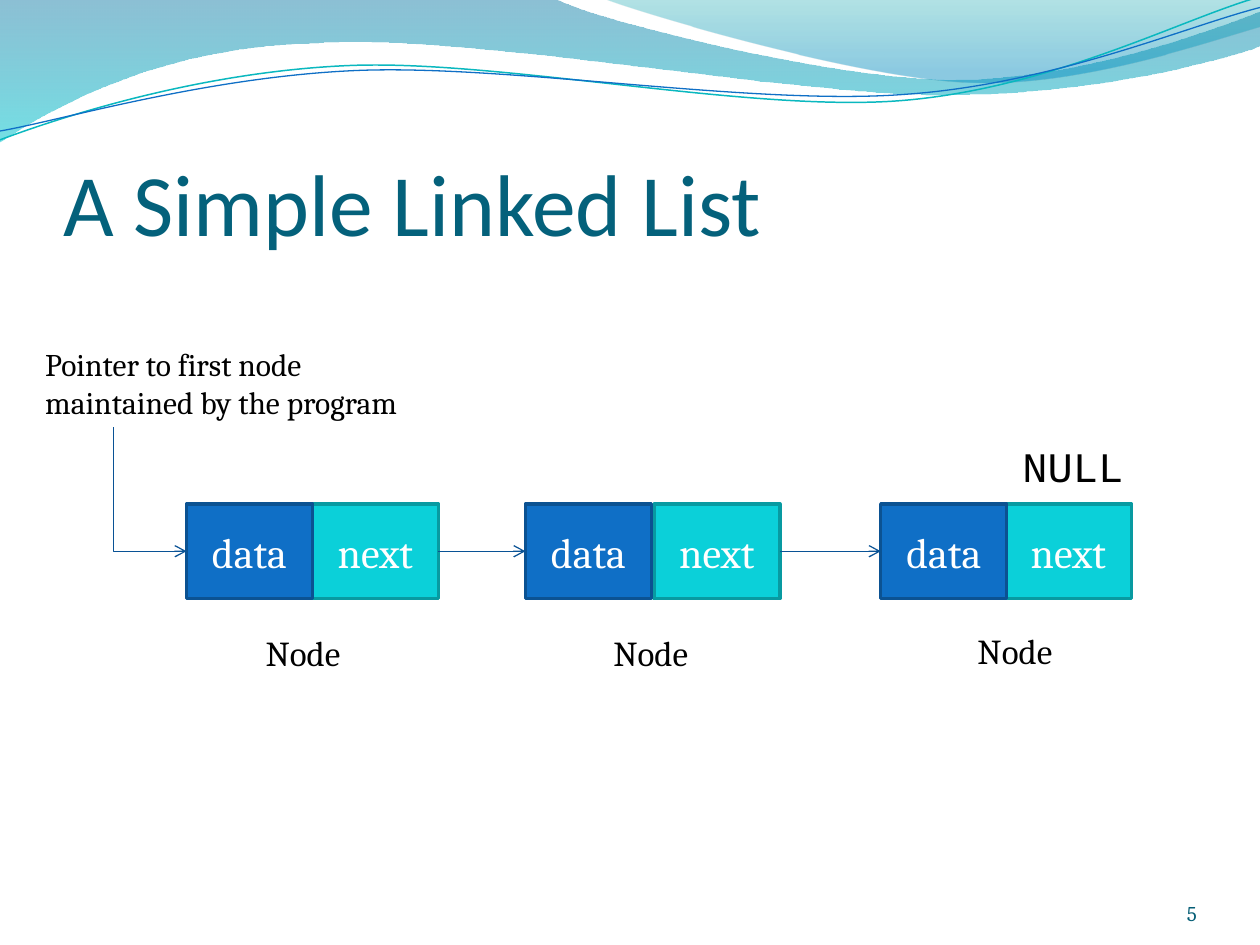
import math

import pptx
import pptx.util
import pptx.dml.color
import pptx.enum.shapes
import pptx.enum.text
import pptx.oxml
import pptx.oxml.ns
from pptx.util import Inches

COLORS = {
    "title": "04617B", "number": "045D75", "text": "000000", "white": "FFFFFF",
    "data": "0F6FC6", "data_edge": "0B5292", "next": "0BD0D9", "next_edge": "089AA1",
    "arrow": "095295", "wave_teal": "0AB8BF", "wave_blue": "0F6FC6",
    "band_sea": "0074A1", "band_aqua": "00C6CF", "band_green": "00A1A9", "band_sky": "008BBF",
}
ALIGN = pptx.enum.text.PP_ALIGN
ANCHOR = pptx.enum.text.MSO_ANCHOR
AUTO_SIZE = pptx.enum.text.MSO_AUTO_SIZE
CONNECTOR = pptx.enum.shapes.MSO_CONNECTOR
NODE_Y, CELL_W, CELL_H = 4, 1, 0.75
MID_Y = NODE_Y + CELL_H / 2
CURVE_TILT = 357.3

BACK_BAND = [
    [(0, 0)], [(4.4, -0.01)],
    [(4.76, 0.17), (6.64, 0.63), (7.58, 0.63)], [(8.53, 0.63), (9.58, 0.26), (10, 0.09)],
    [(10.01, 0.36)],
    [(9.83, 0.44), (8.7, 0.76), (7.46, 0.75)], [(6.22, 0.75), (3.82, 0.28), (2.57, 0.34)],
    [(1.29, 0.36), (0.46, 0.83), (-0.01, 1.13)],
]
FRONT_BAND = [
    [(4.79, -0.01)], [(5.09, 0.11), (6.82, 0.62), (7.69, 0.65)],
    [(8.56, 0.69), (9.61, 0.32), (10, 0.21)], [(10, 0)],
]
TEAL_CURVE = [
    [(0, 1.11)], [(0.48, 0.93), (1.58, 0.57), (2.77, 0.52)],
    [(3.95, 0.47), (5.93, 0.89), (7.13, 0.8)], [(8.33, 0.71), (9.38, 0.15), (9.98, -0.02)],
]
BLUE_CURVE = [
    [(0, 1.04)], [(0.47, 0.96), (1.64, 0.61), (2.83, 0.56)],
    [(4.03, 0.51), (5.97, 0.84), (7.17, 0.75)], [(8.36, 0.67), (9.41, 0.21), (10, 0.06)],
]


def rgb(name):
    return pptx.dml.color.RGBColor.from_string(COLORS[name])


def add_outline(s, outline, close):
    points = [(Inches(x), Inches(y)) for segment in outline for x, y in segment]
    builder = s.shapes.build_freeform(*points[0])
    builder.add_line_segments(points[1:], close=close)
    sp = builder.convert_to_shape()
    sp.shadow.inherit = False
    steps = iter(list(sp._element.spPr.iter(pptx.oxml.ns.qn("a:lnTo"))))
    for segment in outline[1:]:
        first, *others = [next(steps) for _ in segment]
        if others:
            first.tag = pptx.oxml.ns.qn("a:cubicBezTo")
        for other in others:
            first.append(other[0])
            other.getparent().remove(other)
    return sp


def add_band(s, outline, stops):
    sp = add_outline(s, outline, True)
    sp.line.fill.background()
    stop_xml = "".join(
        f'<a:gs pos="{pos * 1000}"><a:srgbClr val="{COLORS[color]}">'
        f'<a:alpha val="{alpha * 1000}"/></a:srgbClr></a:gs>' for pos, color, alpha in stops)
    grad = pptx.oxml.parse_xml(
        f'<a:gradFill {pptx.oxml.ns.nsdecls("a")}><a:gsLst>{stop_xml}</a:gsLst>'
        '<a:lin ang="5400000" scaled="0"/></a:gradFill>')
    sp._element.spPr.find(pptx.oxml.ns.qn("a:custGeom")).addnext(grad)


def turn(point, center, degrees):
    angle = math.radians(degrees)
    dx, dy = point[0] - center[0], point[1] - center[1]
    return (center[0] + dx * math.cos(angle) - dy * math.sin(angle),
            center[1] + dx * math.sin(angle) + dy * math.cos(angle))


def add_curve(s, outline, center, color, width):
    level = [[turn(point, center, -CURVE_TILT) for point in segment] for segment in outline]
    sp = add_outline(s, level, False)
    sp.rotation = CURVE_TILT
    sp.fill.background()
    sp.line.color.rgb = rgb(color)
    sp.line.width = pptx.util.Pt(width)


def set_text(sp, text, size, color, font="Cambria", align=ALIGN.LEFT):
    p = sp.text_frame.paragraphs[0]
    p.text = text
    p.alignment = align
    p.font.size = pptx.util.Pt(size)
    p.font.name = font
    p.font.color.rgb = rgb(color)


def anchor_bottom(sp, top_margin):
    tf = sp.text_frame
    tf.word_wrap = True
    tf.auto_size = AUTO_SIZE.NONE
    tf.vertical_anchor = ANCHOR.BOTTOM
    tf.margin_left = tf.margin_right = tf.margin_bottom = 0
    tf.margin_top = Inches(top_margin)


def add_title(s, text):
    sp = s.shapes.title
    sp.left, sp.top, sp.width, sp.height = (Inches(v) for v in (0.5, 0.77, 9, 1.25))
    anchor_bottom(sp, 0.05)
    set_text(sp, text, 50, "title", "Calibri")
    s.shapes._spTree.append(sp._element)


def add_label(s, box, text, size, color="text", font="Cambria", align=ALIGN.CENTER, wrap=False):
    sp = s.shapes.add_textbox(*(Inches(v) for v in box))
    sp.text_frame.word_wrap = wrap
    sp.text_frame.auto_size = AUTO_SIZE.SHAPE_TO_FIT_TEXT
    set_text(sp, text, size, color, font, align)
    return sp


def add_cell(s, x, kind):
    sp = s.shapes.add_shape(pptx.enum.shapes.MSO_SHAPE.RECTANGLE, Inches(x), Inches(NODE_Y),
                            Inches(CELL_W), Inches(CELL_H))
    sp.shadow.inherit = False
    sp.fill.solid()
    sp.fill.fore_color.rgb = rgb(kind)
    sp.line.color.rgb = rgb(kind + "_edge")
    sp.line.width = pptx.util.Pt(2)
    sp.text_frame.vertical_anchor = ANCHOR.MIDDLE
    set_text(sp, kind, 24, "white", align=ALIGN.CENTER)


def add_arrow(s, kind, x1, y1, x2, y2):
    c = s.shapes.add_connector(kind, Inches(x1), Inches(y1), Inches(x2), Inches(y2))
    c.line.color.rgb = rgb("arrow")
    c.line.width = pptx.util.Pt(0.75)
    ns = pptx.oxml.ns.nsdecls("a")
    c.line._get_or_add_ln().append(pptx.oxml.parse_xml(f'<a:tailEnd {ns} type="arrow"/>'))
    c._element.spPr.append(pptx.oxml.parse_xml(f"<a:effectLst {ns}/>"))
    return c


def add_corner_arrow(s, x1, y1, x2, y2):
    cx, cy = (x1 + x2) / 2, (y1 + y2) / 2
    half_w, half_h = (y2 - y1) / 2, (x2 - x1) / 2
    c = add_arrow(s, CONNECTOR.ELBOW, cx + half_w, cy - half_h, cx - half_w, cy + half_h)
    c._element.spPr.find(pptx.oxml.ns.qn("a:xfrm")).set("rot", "16200000")
    c._element.spPr.find(pptx.oxml.ns.qn("a:prstGeom")).set("prst", "bentConnector2")


def main():
    prs = pptx.Presentation()
    prs.slide_width, prs.slide_height = Inches(10), Inches(7.5)
    s = prs.slides.add_slide(prs.slide_layouts[5])

    add_band(s, BACK_BAND, [(0, "band_sea", 45), (100, "band_aqua", 55)])
    add_band(s, FRONT_BAND, [(0, "band_green", 30), (80, "band_sky", 45)])
    add_curve(s, TEAL_CURVE, (4.99, 0.58), "wave_teal", 0.85)
    add_curve(s, BLUE_CURVE, (5, 0.59), "wave_blue", 0.75)
    add_title(s, "A Simple Linked List")
    number = add_label(s, (8.67, 6.95, 0.83, 0.4), "5", 12, "number", align=ALIGN.RIGHT)
    anchor_bottom(number, 0)

    nodes = [(1.48, 2.48), (4.17, 5.19), (6.99, 7.98)]
    for data_x, next_x in nodes:
        add_cell(s, next_x, "next")
        add_cell(s, data_x, "data")
    add_label(s, (0.26, 2.69, 3.25, 0.71), "Pointer to first node maintained by the program",
              18, align=ALIGN.LEFT, wrap=True)
    add_corner_arrow(s, 0.9, 3.39, nodes[0][0], MID_Y)
    for node, following in zip(nodes, nodes[1:]):
        add_arrow(s, CONNECTOR.STRAIGHT, node[1] + CELL_W, MID_Y, following[0], MID_Y)
    add_label(s, (8.01, 3.45, 1.01, 0.5), "NULL", 24, font="Courier New")
    for x, y in [(1.98, 4.96), (4.74, 4.96), (7.63, 4.95)]:
        add_label(s, (x, y, 0.85, 0.44), "Node", 20)
    prs.save("out.pptx")


if __name__ == "__main__":
    main()
